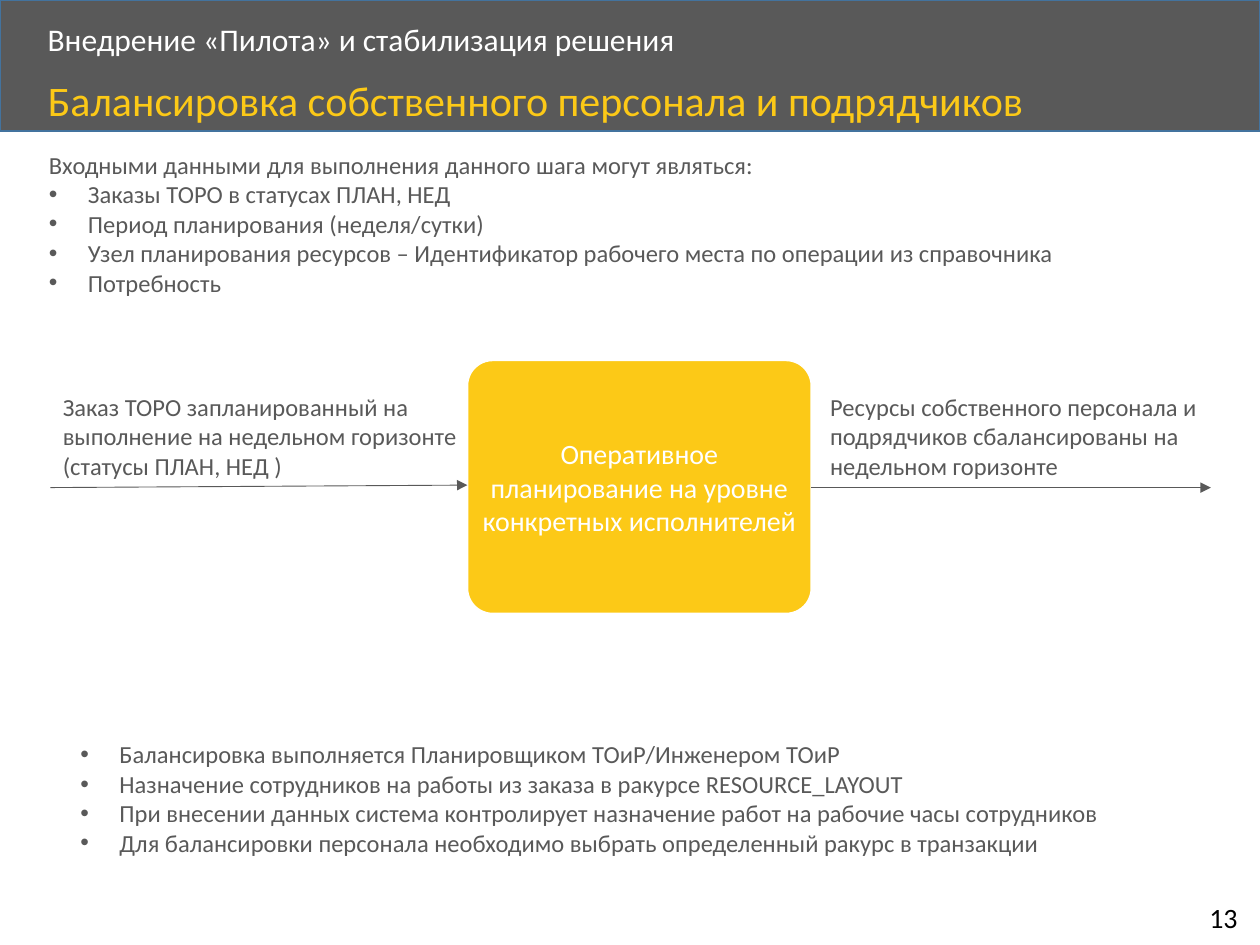
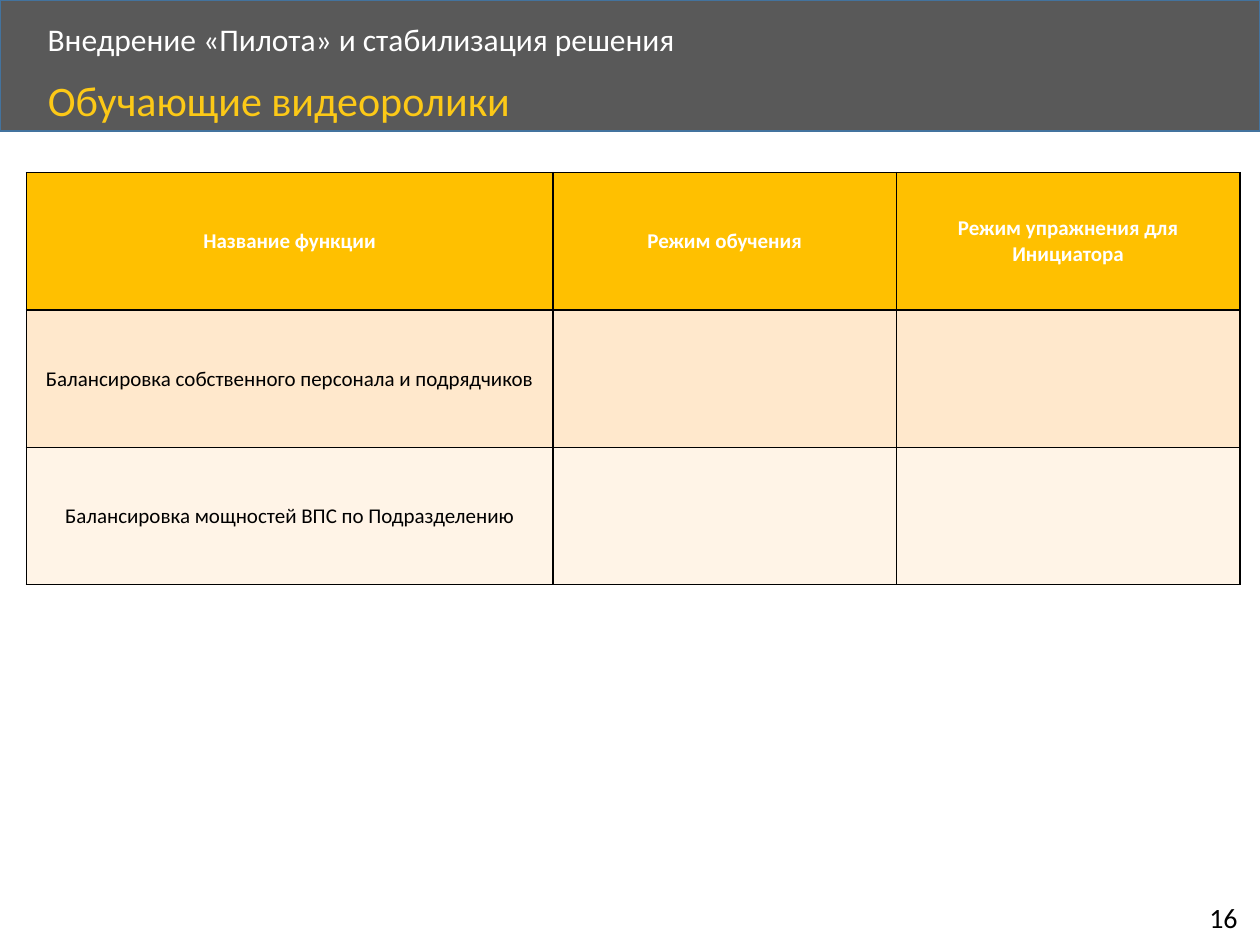
import dataclasses

import lxml.etree
import pptx
import pptx.dml.color
import pptx.enum.shapes
import pptx.enum.text
import pptx.oxml.ns
import pptx.util

COLORS = {
    "band": "595959",
    "band_edge": "43739E",
    "accent": "FCC917",
    "body": "595959",
    "light": "FFFFFF",
    "dark": "000000",
    "header_row": "FFC000",
    "odd_row": "FFE8CC",
    "even_row": "FFF4E7",
}
FONT = "Calibri"
COLUMNS, ROWS = 100, 75
CELL = pptx.util.Inches(0.1)
INDENT = pptx.util.Inches(0.31)
STAGE = "Внедрение «Пилота» и стабилизация решения"
ALIGN = pptx.enum.text.PP_ALIGN
ANCHOR = pptx.enum.text.MSO_ANCHOR


@dataclasses.dataclass
class Box:
    """A rectangle measured in columns and rows of the slide grid."""
    left: float
    top: float
    width: float
    height: float

    def area(self, left, top, width, height):
        """Return a box offset from this one's corner."""
        return Box(self.left + left, self.top + top, width, height)

    def emu(self):
        """Return left, top, width and height in slide units."""
        return [round(n * CELL) for n in dataclasses.astuple(self)]


def rgb(name):
    """Return a palette colour."""
    return pptx.dml.color.RGBColor.from_string(COLORS[name])


def add_xml(parent, tag, **attributes):
    """Append a DrawingML element."""
    return lxml.etree.SubElement(parent, pptx.oxml.ns.qn(tag), attributes)


def write(frame, lines, size, color, align=ALIGN.LEFT, anchor=ANCHOR.TOP,
          bold=False, bullets_from=None, spacing=None):
    """Fill a text frame and format its runs."""
    frame.text = "\n".join(lines)
    frame.word_wrap = True
    frame.vertical_anchor = anchor
    for number, paragraph in enumerate(frame.paragraphs):
        paragraph.alignment = align
        if spacing:
            paragraph.line_spacing = spacing
        if bullets_from is not None and number >= bullets_from:
            properties = paragraph._p.get_or_add_pPr()
            properties.set("marL", str(INDENT))
            properties.set("indent", str(-INDENT))
            add_xml(properties, "a:buFont", typeface="Arial")
            add_xml(properties, "a:buChar", char="•")
        for run in paragraph.runs:
            run.font.name = FONT
            run.font.size = pptx.util.Pt(size)
            run.font.bold = bold
            run.font.color.rgb = rgb(color)


def add_text(slide, box, lines, size=14, color="body", **style):
    """Add a text box and return its frame."""
    frame = slide.shapes.add_textbox(*box.emu()).text_frame
    write(frame, lines, size, color, **style)
    return frame


def add_panel(slide, box, kind, fill, edge):
    """Add a filled, outlined shape without a shadow."""
    panel = slide.shapes.add_shape(kind, *box.emu())
    panel.shadow.inherit = False
    panel.fill.solid()
    panel.fill.fore_color.rgb = rgb(fill)
    panel.line.color.rgb = rgb(edge)
    panel.line.width = pptx.util.Pt(1)
    return panel


def add_arrow(slide, start, end):
    """Add a thin arrow between two grid points."""
    arrow = slide.shapes.add_connector(
        pptx.enum.shapes.MSO_CONNECTOR.STRAIGHT,
        *(round(n * CELL) for n in (*start, *end)))
    arrow.line.color.rgb = rgb("body")
    arrow.line.width = pptx.util.Pt(0.5)
    add_xml(arrow.line._get_or_add_ln(), "a:tailEnd", type="triangle")
    add_xml(arrow._element.spPr, "a:effectLst")


def add_heading(slide, box, topic):
    """Draw the band with the stage name and the slide title."""
    add_panel(slide, box, pptx.enum.shapes.MSO_SHAPE.RECTANGLE, "band", "band_edge")
    add_text(slide, box.area(2.8, 1.4, 80.7, 3.8), [STAGE], 18, "light",
             anchor=ANCHOR.MIDDLE, spacing=0.9)
    title = slide.shapes.title
    title.left, title.top, title.width, title.height = box.area(2.8, 5.9, 86.7, 4.5).emu()
    write(title.text_frame, [topic], 24, "accent", spacing=0.9)
    title.text_frame.auto_size = pptx.enum.text.MSO_AUTO_SIZE.NONE
    slide.shapes._spTree.append(title._element)


def start_slide(deck, topic, number):
    """Add a slide with the shared heading and page number."""
    slide = deck.slides.add_slide(deck.slide_layouts[5])
    add_heading(slide, Box(0, 0, COLUMNS, 10.4), topic)
    page = add_text(slide, Box(95, 71, 4.6, 3.7), [str(number)], 16, "dark")
    page.word_wrap = False
    return slide


def add_planning_flow(slide, box):
    """Draw the planning step with its input and output."""
    step_box = box.area(33.1, 0, 27.3, 20.1)
    step = add_panel(slide, step_box, pptx.enum.shapes.MSO_SHAPE.ROUNDED_RECTANGLE,
                     "accent", "light")
    step.adjustments[0] = 0.1
    frame = step.text_frame
    frame.margin_left = frame.margin_right = pptx.util.Inches(0.01)
    frame.margin_top = frame.margin_bottom = pptx.util.Inches(0.01)
    write(frame, ["Оперативное планирование на уровне конкретных исполнителей"],
          16, "light", ALIGN.CENTER, ANCHOR.MIDDLE)
    middle = box.top + box.height / 2
    step_right = step_box.left + step_box.width
    add_arrow(slide, (step_right, middle), (box.left + box.width, middle))
    add_arrow(slide, (box.left, middle), (step_box.left, middle - 0.2))
    add_text(slide, box.area(0, 2, 33.7, 8.1),
             ["Заказ ТОРО запланированный на выполнение на недельном горизонте "
              "(статусы ПЛАН, НЕД )"])
    add_text(slide, box.area(60.9, 2, 32.5, 8.1),
             ["Ресурсы собственного персонала и подрядчиков сбалансированы "
              "на недельном горизонте"])


def build_balancing(deck):
    """Build the slide about balancing staff and contractors."""
    slide = start_slide(deck, "Балансировка собственного персонала и подрядчиков", 13)
    add_planning_flow(slide, Box(4, 28.6, 92.1, 20.2))
    add_text(slide, Box(2.9, 11.4, 94.6, 12.8), [
        "Входными данными для выполнения данного шага могут являться:",
        "Заказы ТОРО в статусах ПЛАН, НЕД",
        "Период планирования (неделя/сутки)",
        "Узел планирования ресурсов – Идентификатор рабочего места по операции из справочника",
        "Потребность",
    ], bullets_from=1)
    add_text(slide, Box(5.4, 58.2, 90.7, 10.4), [
        "Балансировка выполняется Планировщиком ТОиР/Инженером ТОиР",
        "Назначение сотрудников на работы из заказа в ракурсе RESOURCE_LAYOUT",
        "При внесении данных система контролирует назначение работ на рабочие часы сотрудников",
        "Для балансировки персонала необходимо выбрать определенный ракурс в транзакции",
    ], bullets_from=0)


def add_border(cell):
    """Outline every side of a table cell."""
    properties = cell._tc.get_or_add_tcPr()
    for side in ("a:lnL", "a:lnR", "a:lnT", "a:lnB"):
        edge = add_xml(properties, side, w=str(pptx.util.Pt(1)))
        add_xml(add_xml(edge, "a:solidFill"), "a:srgbClr", val=COLORS["dark"])


def add_video_table(slide, box, rows):
    """Draw the table of training videos."""
    table = slide.shapes.add_table(len(rows), len(rows[0]), *box.emu()).table
    for column, share in zip(table.columns, (0.434, 0.283, 0.283)):
        column.width = round(box.width * share * CELL)
    fills = ("header_row", "odd_row", "even_row")
    for row_number, (labels, fill) in enumerate(zip(rows, fills)):
        is_header = row_number == 0
        for column_number, label in enumerate(labels):
            cell = table.cell(row_number, column_number)
            add_border(cell)
            cell.fill.solid()
            cell.fill.fore_color.rgb = rgb(fill)
            write(cell.text_frame, [label], 12, "light" if is_header else "dark",
                  ALIGN.CENTER, bold=is_header)
            cell.vertical_anchor = ANCHOR.MIDDLE
            if label and not is_header:
                cell.margin_left = cell.margin_right = pptx.util.Inches(0.01)
                cell.margin_top, cell.margin_bottom = pptx.util.Inches(0.01), 0


def build_videos(deck):
    """Build the slide about training videos."""
    slide = start_slide(deck, "Обучающие видеоролики", 16)
    add_video_table(slide, Box(2.1, 13.7, 96.3, 32.7), [
        ("Название функции", "Режим обучения", "Режим упражнения для Инициатора"),
        ("Балансировка собственного персонала и подрядчиков", "", ""),
        ("Балансировка мощностей ВПС по Подразделению", "", ""),
    ])


def main():
    """Build and save the presentation."""
    deck = pptx.Presentation()
    deck.slide_width, deck.slide_height = COLUMNS * CELL, ROWS * CELL
    build_balancing(deck)
    build_videos(deck)
    deck.save("out.pptx")


if __name__ == "__main__":
    main()
